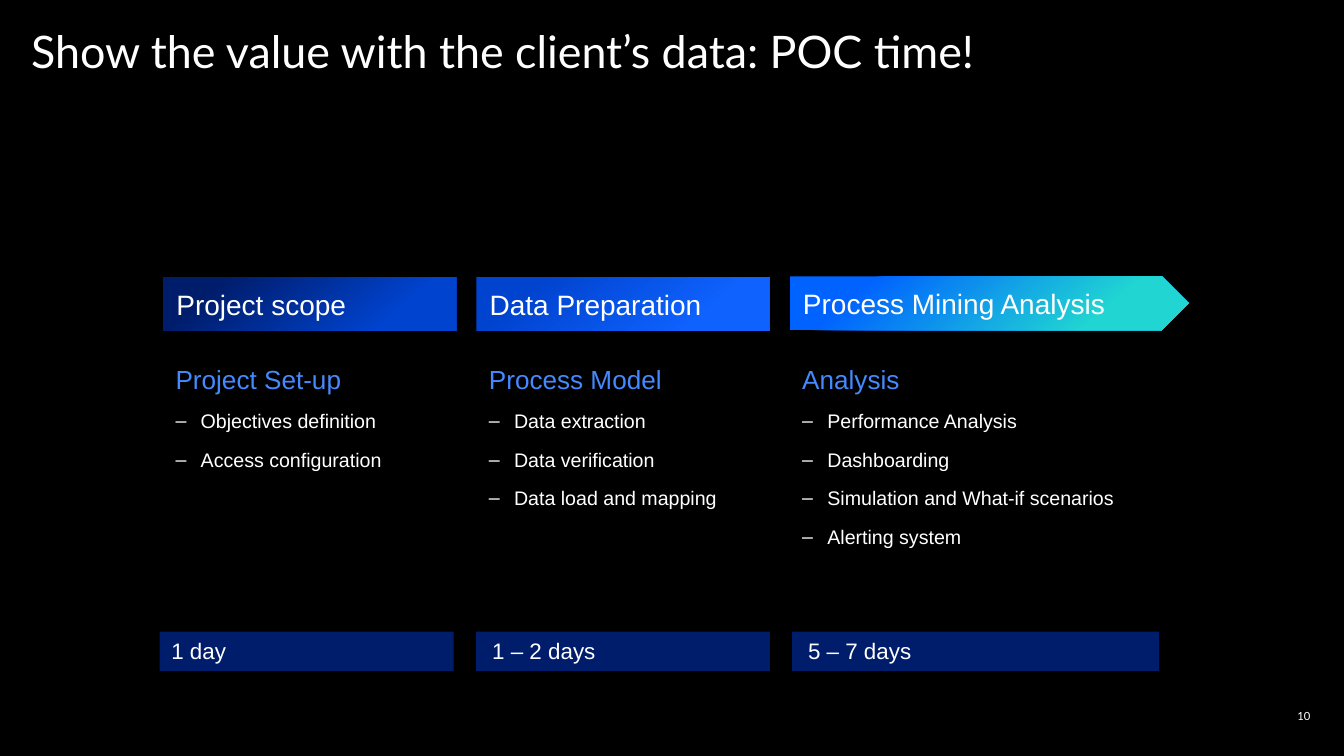
"""Build the proof-of-concept timeline slide with three project phases."""
from dataclasses import dataclass

from lxml import etree
from pptx import Presentation
from pptx.dml.color import RGBColor
from pptx.enum.shapes import MSO_SHAPE
from pptx.enum.text import MSO_ANCHOR, MSO_AUTO_SIZE, PP_ALIGN
from pptx.oxml.ns import qn
from pptx.util import Emu, Inches, Pt

RECTANGLE, ARROW = MSO_SHAPE.RECTANGLE, MSO_SHAPE.PENTAGON
TOP, MIDDLE = MSO_ANCHOR.TOP, MSO_ANCHOR.MIDDLE
LEFT, RIGHT = PP_ALIGN.LEFT, PP_ALIGN.RIGHT
NO_AUTOFIT = MSO_AUTO_SIZE.NONE

SLIDE_WIDTH, SLIDE_HEIGHT = Inches(16), Inches(9)
COLUMN, ROW = SLIDE_WIDTH // 16, SLIDE_HEIGHT // 9
FIRST_HEADER, HEADER_PITCH = 1.94, 3.73
FIRST_BAR, BAR_PITCH = 1.9, 3.765
HEADER_HEIGHT, BAR_HEIGHT = 0.64, 0.47
LIST_OFFSET = -0.03

BLACK, WHITE, NAVY, SKY = "000000", "FFFFFF", "001D6C", "4589FF"
LABEL_INSETS = (0.16, 0.08, 0, 0.08)
LIST_INSETS = (0.16, 0.32, 0, 0)
NO_INSETS = (0, 0, 0, 0)
LIST_PLACEHOLDERS = (1, 2, 3)
UNUSED_PLACEHOLDER = 4


@dataclass(frozen=True)
class Box:
    """A place on the grid, in columns and rows."""
    left: float
    top: float
    width: float
    height: float

    def lengths(self) -> tuple:
        """Return left, top, width and height as slide lengths."""
        return (Emu(round(self.left * COLUMN)), Emu(round(self.top * ROW)),
                Emu(round(self.width * COLUMN)), Emu(round(self.height * ROW)))


@dataclass(frozen=True)
class Phase:
    """One project phase with its header, task list and duration."""
    name: str
    heading: str
    tasks: tuple
    duration: str
    gradient: tuple
    outline: int
    header_top: float
    header_width: float
    name_width: float
    list_width: float
    list_height: float
    bar_width: float
    duration_left: float


PHASES = (
    Phase("Project scope", "Project Set-up",
          ("Objectives definition", "Access configuration"), "1 day",
          (NAVY, "0043CE"), RECTANGLE, 3.3, 3.49, 3.47, 3.36, 2.61, 3.5, 1.88),
    Phase("Data Preparation", "Process Model",
          ("Data extraction", "Data verification", "Data load and mapping"),
          "1 – 2 days", ("0043CE", "0F62FE"), RECTANGLE,
          3.3, 3.49, 3.33, 3.49, 2.78, 3.5, 5.7),
    Phase("Process Mining Analysis", "Analysis",
          ("Performance Analysis", "Dashboarding",
           "Simulation and What-if scenarios", "Alerting system"),
          "5 – 7 days", ("0062FF", "20D5D2"), ARROW,
          3.29, 4.75, 4.1, 4.78, 2.44, 4.37, 9.46),
)


def color(value: str) -> RGBColor:
    """Turn a hex string into a colour."""
    return RGBColor.from_string(value)


def apply(target, values: dict) -> None:
    """Set every attribute named in the format values."""
    for name, value in values.items():
        setattr(target, name, value)


def place(shape, box: Box) -> None:
    """Move and size a shape on the grid."""
    apply(shape, dict(zip(("left", "top", "width", "height"), box.lengths())))


def format_frame(shape, insets: tuple, anchor) -> None:
    """Set wrapping, anchor and insets of a shape's text."""
    sides = ("margin_left", "margin_top", "margin_right", "margin_bottom")
    apply(shape.text_frame, {"word_wrap": True, "auto_size": NO_AUTOFIT,
                             "vertical_anchor": anchor,
                             **dict(zip(sides, map(Inches, insets)))})


def write(paragraph, text: str, size: float, font: str = "Arial",
          fill: str = WHITE, alignment=LEFT, **spacing) -> None:
    """Write one formatted run into a paragraph."""
    apply(paragraph, {"alignment": alignment, "space_before": Pt(0), **spacing})
    run = paragraph.add_run()
    run.text = text
    apply(run.font, {"name": font, "size": Pt(size), "bold": False})
    run.font.color.rgb = color(fill)


def add_label(slide, box: Box, text: str, size: float, insets: tuple = LABEL_INSETS,
              **style) -> None:
    """Add a vertically centred one-line text box."""
    shape = slide.shapes.add_textbox(*box.lengths())
    format_frame(shape, insets, MIDDLE)
    write(shape.text_frame.paragraphs[0], text, size, **style)


def add_block(slide, outline: int, box: Box, colors: tuple) -> None:
    """Add a borderless block with a plain or diagonal gradient fill."""
    shape = slide.shapes.add_shape(outline, *box.lengths())
    shape.shadow.inherit = False
    shape.line.fill.background()
    if len(colors) == 1:
        shape.fill.solid()
        shape.fill.fore_color.rgb = color(colors[0])
        return
    shape.fill.gradient()
    shape.fill.gradient_angle = 310
    for stop, position, value in zip(shape.fill.gradient_stops, (0.18, 0.77), colors):
        stop.position = position
        stop.color.rgb = color(value)


def indent(paragraph, left: float, first: float, bullet: str = "") -> None:
    """Set a paragraph's indents and its bullet, if any."""
    properties = paragraph._p.get_or_add_pPr()
    properties.set("marL", str(Inches(left)))
    properties.set("indent", str(Inches(first)))
    if bullet:
        etree.SubElement(properties, qn("a:buChar"), char=bullet)
    else:
        etree.SubElement(properties, qn("a:buNone"))


def fill_list(shape, box: Box, phase: Phase) -> None:
    """Write a phase's heading and tasks into a body placeholder."""
    place(shape, box)
    format_frame(shape, LIST_INSETS, TOP)
    spacing = {"space_after": Pt(12.8), "line_spacing": 1.0}
    heading = shape.text_frame.paragraphs[0]
    indent(heading, 0.02, 0)
    write(heading, phase.heading, 22.4, fill=SKY, **spacing)
    for task in phase.tasks:
        paragraph = shape.text_frame.add_paragraph()
        indent(paragraph, 0.32, -0.3, "–")
        write(paragraph, task, 16.8, **spacing)


def add_phase(slide, index: int, phase: Phase) -> None:
    """Draw one phase column."""
    left = FIRST_HEADER + index * HEADER_PITCH
    add_block(slide, phase.outline,
              Box(left, phase.header_top, phase.header_width, HEADER_HEIGHT),
              phase.gradient)
    add_label(slide, Box(left, phase.header_top + 0.03, phase.name_width, HEADER_HEIGHT),
              phase.name, 24, line_spacing=0.9)
    fill_list(slide.placeholders[LIST_PLACEHOLDERS[index]],
              Box(left + LIST_OFFSET, 4, phase.list_width, phase.list_height), phase)
    add_block(slide, RECTANGLE,
              Box(FIRST_BAR + index * BAR_PITCH, 7.52, phase.bar_width, BAR_HEIGHT),
              (NAVY,))
    add_label(slide, Box(phase.duration_left, 7.44, 3.34, HEADER_HEIGHT),
              phase.duration, 19.2, line_spacing=0.9)


def main() -> None:
    """Build and save the slide."""
    presentation = Presentation()
    apply(presentation, {"slide_width": SLIDE_WIDTH, "slide_height": SLIDE_HEIGHT})
    slide = presentation.slides.add_slide(
        presentation.slide_layouts.get_by_name("Comparison"))
    slide.background.fill.solid()
    slide.background.fill.fore_color.rgb = color(BLACK)
    unused = slide.placeholders[UNUSED_PLACEHOLDER].element
    unused.getparent().remove(unused)

    title = slide.shapes.title
    place(title, Box(0.37, 0.35, 12.58, 1.41))
    format_frame(title, NO_INSETS, TOP)
    write(title.text_frame.paragraphs[0],
          "Show the value with the client’s data: POC time!", 38.4, "Lato",
          line_spacing=0.9)
    for index, phase in enumerate(PHASES):
        add_phase(slide, index, phase)
    add_label(slide, Box(12.4, 8.38, 3.2, 0.29), "10", 9.6, NO_INSETS,
              font="Lato", alignment=RIGHT)
    presentation.save("out.pptx")


if __name__ == "__main__":
    main()
